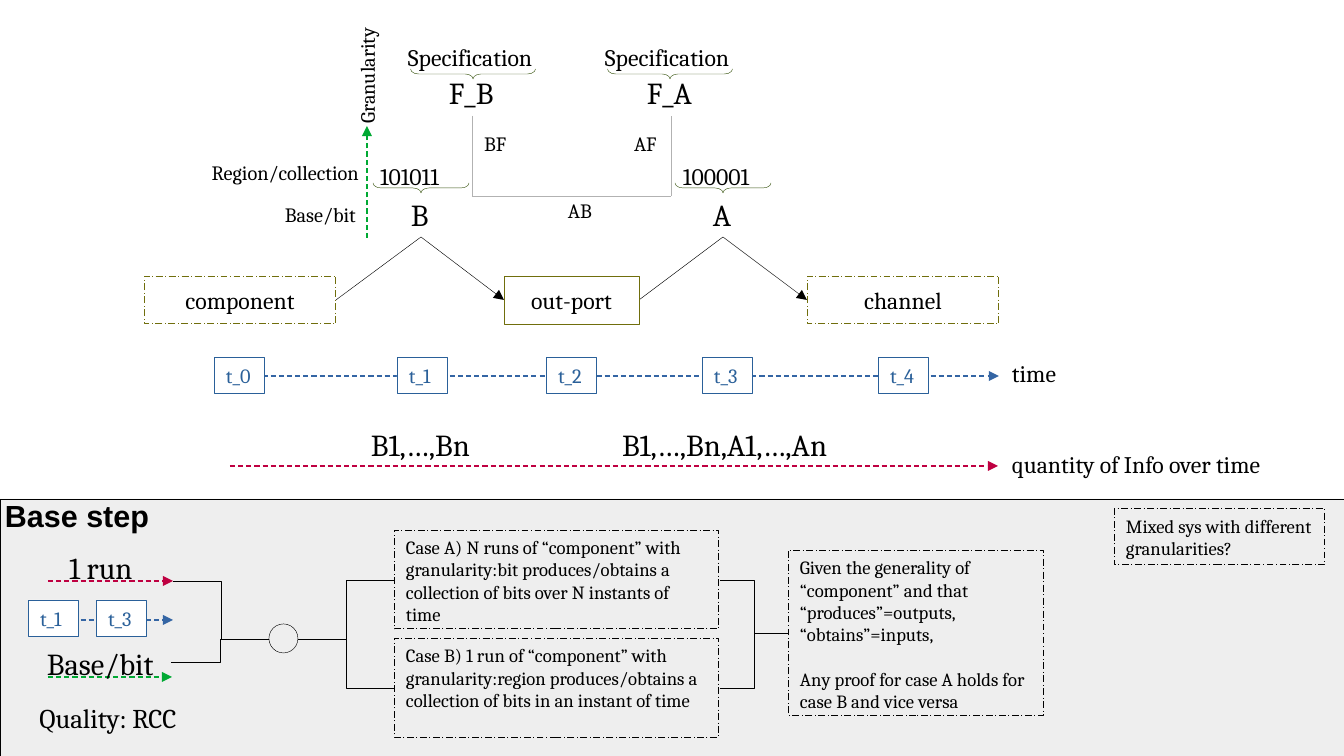
"""Builds the slide on granularity of information over time, with its base step."""
from lxml import etree
from pptx import Presentation
from pptx.dml.color import RGBColor
from pptx.enum.dml import MSO_LINE
from pptx.enum.shapes import MSO_CONNECTOR, MSO_SHAPE
from pptx.enum.text import MSO_ANCHOR, MSO_AUTO_SIZE, PP_ALIGN
from pptx.oxml.ns import qn
from pptx.util import Pt

PX = 914400 / 122
HAIRLINE, DASHED_BORDER, AXIS_WIDTH = 0.25, 0.5, 1.5
STRAIGHT, ELBOW = MSO_CONNECTOR.STRAIGHT, MSO_CONNECTOR.ELBOW
RECT, OVAL, BRACE = MSO_SHAPE.RECTANGLE, MSO_SHAPE.OVAL, MSO_SHAPE.RIGHT_BRACE
DASH_DOT = MSO_LINE.LONG_DASH_DOT
TOP, MIDDLE = MSO_ANCHOR.TOP, MSO_ANCHOR.MIDDLE
GROW = MSO_AUTO_SIZE.SHAPE_TO_FIT_TEXT
LEFT, CENTER, RIGHT = PP_ALIGN.LEFT, PP_ALIGN.CENTER, PP_ALIGN.RIGHT
BLACK, WHITE, GREY, PANEL = "000000", "FFFFFF", "B2B2B2", "EEEEEE"
BLUE, NAVY, RED, GREEN = "3465A4", "2A6099", "BF0041", "00A933"
OLIVE, MOSS = "706E0C", "395511"

BASE_STEP_PANEL = (0, 499, 1344, 257)
RUN_CIRCLE = (269, 624, 29, 29)

AXES = [
    ((230, 376), (999, 376), BLUE),
    ((230, 466), (998, 466), RED),
    ((367, 238), (367, 126), GREEN),
    ((48, 581), (173, 581), RED),
    ((48, 620), (173, 620), BLUE),
    ((48, 677), (172, 677), GREEN),
]
FLOWS = [((336, 300), (421, 237), (504, 300)), ((639, 300), (723, 237), (807, 300))]
RELATION_PATH = [(472, 116), (472, 196), (671, 196), (671, 116)]
BRANCHES = [
    ((720, 580), (788, 633)), ((720, 688), (788, 633)),
    ((298, 639), (394, 688)), ((298, 639), (394, 580)),
    ((171, 662), (269, 639)), ((173, 581), (269, 639)),
]
BRACES = [(421, 188, 96), (723, 188, 96), (473, 74, 125), (670, 74, 125)]

STAGES = [
    ("component", 144, 192, None, DASH_DOT),
    ("out-port", 504, 135, WHITE, None),
    ("channel", 807, 192, None, DASH_DOT),
]
INSTANTS = [
    ("t_0", 214, 357), ("t_1", 397, 357), ("t_2", 546, 357), ("t_3", 702, 357),
    ("t_4", 878, 357), ("t_1", 28, 600), ("t_3", 96, 600),
]
NOTES = [
    (["Case A) N runs of “component” with granularity:bit produces/obtains a "
      "collection of bits over N instants of time"], (394, 530, 325, 99)),
    (["Case B) 1 run of “component” with granularity:region produces/obtains a "
      "collection of bits in an instant of time"], (394, 638, 325, 99)),
    (["Given the generality of “component” and that “produces”=outputs, "
      "“obtains”=inputs,", "Any proof for case A holds for case B and vice versa"],
     (788, 550, 256, 165)),
    (["Mixed sys with different granularities?"], (1114, 509, 211, 56)),
]
LABELS = [
    ("time", (1000, 353, 229, 46), 14, LEFT),
    ("quantity of Info over time", (1000, 444, 283, 46), 14, LEFT),
    ("B1,…,Bn", (359, 420, 131, 51), 18, LEFT),
    ("B1,…,Bn,A1,…,An", (610, 420, 245, 48), 18, LEFT),
    ("1 run", (57, 543, 94, 48), 18, LEFT),
    ("Base/bit", (35, 639, 137, 48), 18, LEFT),
    ("Quality: RCC", (14, 695, 188, 44), 16, CENTER),
    ("B", (399, 190, 44, 48), 18, LEFT),
    ("A", (701, 190, 44, 48), 18, LEFT),
    ("101011", (368, 156, 104, 40), 14, LEFT),
    ("100001", (671, 156, 104, 40), 14, LEFT),
    ("F_B", (437, 68, 71, 48), 18, LEFT),
    ("F_A", (635, 68, 71, 48), 18, LEFT),
    ("Specification", (396, 37, 156, 40), 14, LEFT),
    ("Specification", (593, 37, 156, 40), 14, LEFT),
    ("Base/bit", (269, 196, 99, 35), 12, RIGHT),
    ("Region/collection", (192, 154, 179, 35), 12, RIGHT),
    ("AB", (556, 192, 49, 35), 12, LEFT),
    ("BF", (472, 125, 48, 35), 12, LEFT),
    ("AF", (622, 125, 48, 35), 12, LEFT),
]
TITLE = ("Base step", (-7, 491, 220, 46), 18, LEFT)
GRANULARITY = ("Granularity", (304, 56, 124, 35), 12, LEFT)


def emu(*lengths):
    return [round(length * PX) for length in lengths]


def rgb(color):
    return RGBColor.from_string(color)


def set_line(line, color, width):
    line.color.rgb = rgb(color)
    line.width = Pt(width)


def add_link(start, end, color=BLACK, width=HAIRLINE, dashed=False, arrow=False,
             kind=STRAIGHT):
    link = slide.shapes.add_connector(kind, *emu(*start, *end))
    set_line(link.line, color, width)
    outline = link.line._get_or_add_ln()
    if dashed:
        dashes = etree.SubElement(outline, qn("a:custDash"))
        etree.SubElement(dashes, qn("a:ds"), d="200000", sp="120000")
    if arrow:
        etree.SubElement(outline, qn("a:tailEnd"), type="triangle")
    etree.SubElement(link._element.spPr, qn("a:effectLst"))


def add_outline(kind, box, color=BLACK, fill=None, dash=None):
    outline = slide.shapes.add_shape(kind, *emu(*box))
    outline.shadow.inherit = False
    if fill:
        outline.fill.solid()
        outline.fill.fore_color.rgb = rgb(fill)
    else:
        outline.fill.background()
    set_line(outline.line, color, DASHED_BORDER if dash else HAIRLINE)
    if dash:
        outline.line.dash_style = dash
    return outline


def write(holder, texts, size, align=LEFT, color=BLACK, font="Cambria", bold=False,
          anchor=TOP, wrap=False, grow=True):
    frame = holder.text_frame
    frame.word_wrap = wrap
    frame.vertical_anchor = anchor
    if grow:
        frame.auto_size = GROW
    for index, text in enumerate(texts):
        paragraph = frame.paragraphs[0] if index == 0 else frame.add_paragraph()
        paragraph.text = text
        paragraph.alignment = align
        paragraph.space_before = Pt(13 if index else 0)
        paragraph.font.size = Pt(size)
        paragraph.font.name = font
        paragraph.font.bold = bold
        paragraph.font.color.rgb = rgb(color)


def add_label(text, box, size, align, **style):
    label = slide.shapes.add_textbox(*emu(*box))
    write(label, [text], size, align, **style)
    return label


presentation = Presentation()
presentation.slide_width, presentation.slide_height = emu(1344, 756)
slide = presentation.slides.add_slide(presentation.slide_layouts[6])

add_outline(RECT, BASE_STEP_PANEL, fill=PANEL)
for start, end, color in AXES:
    add_link(start, end, color, AXIS_WIDTH, dashed=True, arrow=True)
for source, peak, target in FLOWS:
    add_link(source, peak)
    add_link(peak, target, arrow=True)
for start, end in zip(RELATION_PATH, RELATION_PATH[1:]):
    add_link(start, end, GREY)
for start, end in BRANCHES:
    add_link(start, end, kind=ELBOW)
add_outline(OVAL, RUN_CIRCLE)

for center_x, center_y, length in BRACES:
    brace = add_outline(BRACE, (center_x - 5, center_y - length / 2, 10, length), MOSS)
    brace.adjustments[0] = 0.8
    brace.rotation = 90

for name, left, width, fill, dash in STAGES:
    stage = add_outline(RECT, (left, 276, width, 48), OLIVE, fill, dash)
    write(stage, [name], 14, CENTER, anchor=MIDDLE, grow=False)
for name, left, top in INSTANTS:
    instant = add_outline(RECT, (left, top, 50, 36), NAVY, WHITE)
    write(instant, [name], 12, color=NAVY, wrap=True)
for texts, box in NOTES:
    write(add_outline(RECT, box, dash=DASH_DOT), texts, 11, wrap=True)

for label in LABELS:
    add_label(*label)
add_label(*TITLE, font="Arial", bold=True, wrap=True)
add_label(*GRANULARITY, wrap=True).rotation = 270

presentation.save("out.pptx")
